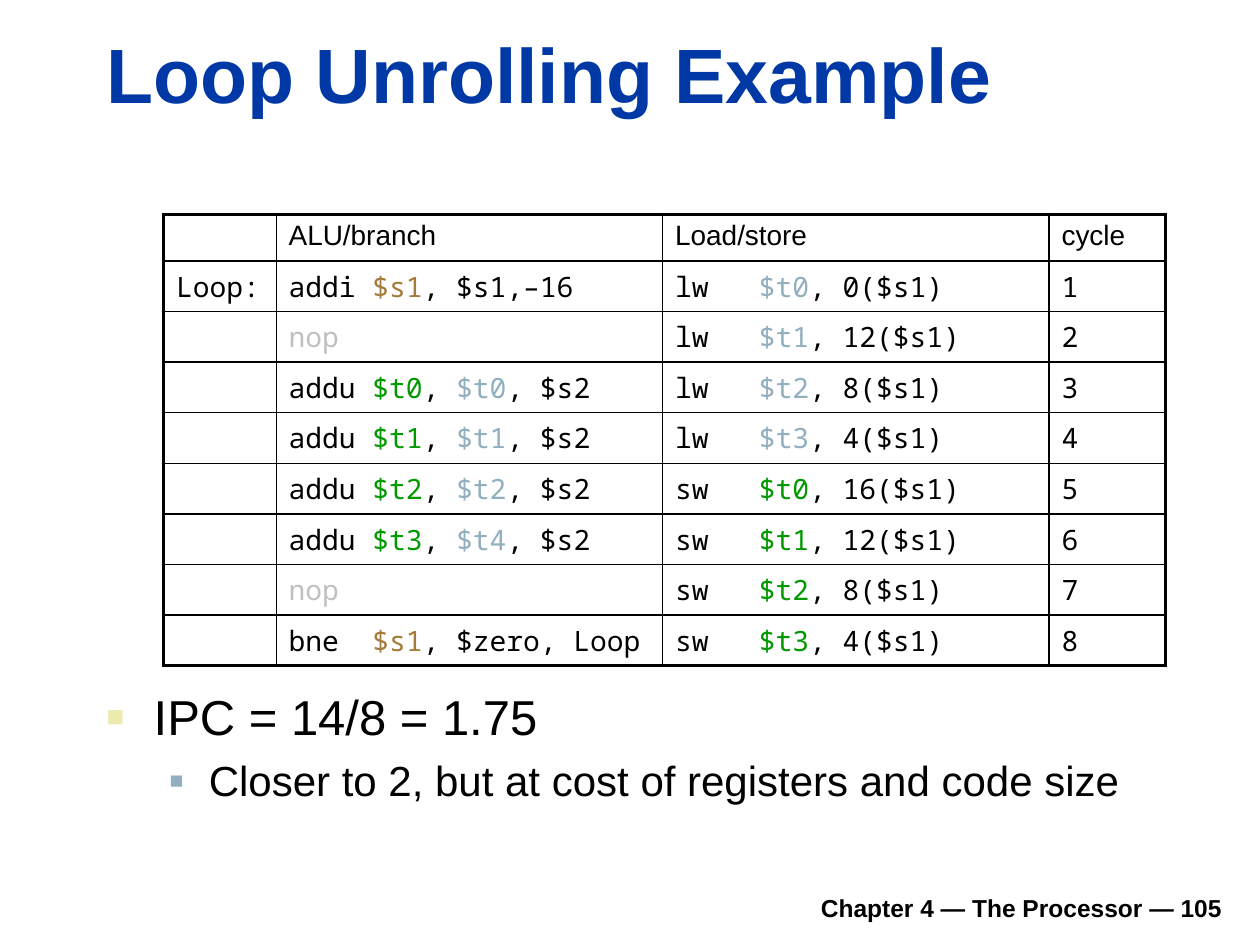
from lxml.etree import SubElement
from pptx import Presentation
from pptx.dml.color import RGBColor
from pptx.enum.text import MSO_ANCHOR, PP_ALIGN
from pptx.oxml import parse_xml
from pptx.oxml.ns import nsdecls, qn
from pptx.util import Cm, Pt

COLORS = {
    "title": "0039A6",
    "text": "000000",
    "pointer": "A47B38",
    "loaded": "91AFBF",
    "result": "009900",
    "idle": "C0C0C0",
    "bullet": "ECEAAC",
    "sub_bullet": "91AFBF",
}
SANS, MONO = "Arial", "Noto Sans Mono"


class SlideBuilder:
    def __init__(self, page):
        self.page = page

    def style(self, paragraph, size, color="text", bold=False, name=SANS):
        font = paragraph.font
        font.name, font.size, font.bold = name, Pt(size), bold
        font.color.rgb = RGBColor.from_string(COLORS[color])

    def text_box(self, left, top, width, height, anchor=MSO_ANCHOR.TOP):
        box = self.page.shapes.add_textbox(Cm(left), Cm(top), Cm(width), Cm(height))
        frame = box.text_frame
        frame.word_wrap = True
        frame.vertical_anchor = anchor
        return frame

    def line(self, place, text, size, color="text", align=PP_ALIGN.LEFT):
        """Put one bold line at the bottom of the box given by place."""
        paragraph = self.text_box(*place, anchor=MSO_ANCHOR.BOTTOM).paragraphs[0]
        paragraph.text = text
        paragraph.alignment = align
        self.style(paragraph, size, color, bold=True)

    def bullet(self, paragraph, text, size, color, percent, left, hanging):
        paragraph.text = text
        properties = paragraph._p.get_or_add_pPr()
        properties.set("marL", str(Cm(left)))
        properties.set("indent", str(-Cm(hanging)))
        tint = SubElement(properties, qn("a:buClr"))
        SubElement(tint, qn("a:srgbClr"), val=COLORS[color])
        SubElement(properties, qn("a:buSzPct"), val=str(percent * 1000))
        SubElement(properties, qn("a:buFont"), typeface=SANS)
        SubElement(properties, qn("a:buChar"), char="■")
        self.style(paragraph, size)

    def borders(self, cell, widths):
        """Draw the left, right, top and bottom borders, widths in points."""
        properties = cell._tc.get_or_add_tcPr()
        for index, (side, width) in enumerate(zip("LRTB", widths)):
            properties.insert(index, parse_xml(
                f'<a:ln{side} {nsdecls("a")} w="{Pt(width)}"><a:solidFill>'
                f'<a:srgbClr val="{COLORS["text"]}"/></a:solidFill></a:ln{side}>'))

    def cell(self, cell, spans, name):
        """Fill a cell with spans, each a (text, colour name) pair."""
        cell.fill.background()
        cell.margin_left = cell.margin_right = Cm(0.25)
        cell.margin_top = Cm(0.13)
        cell.margin_bottom = Cm(0.13 if spans else 0)
        paragraph = cell.text_frame.paragraphs[0]
        self.style(paragraph, 16, name=name)
        for text, color in spans:
            span = paragraph.add_run()
            span.text = text
            if color != "text":
                span.font.color.rgb = RGBColor.from_string(COLORS[color])

    def table(self, left, top, widths, heights, rows):
        shape = self.page.shapes.add_table(
            len(rows), len(widths), Cm(left), Cm(top), Cm(sum(widths)), Cm(sum(heights)))
        table = shape.table
        table.first_row = table.horz_banding = False
        for column, width in zip(table.columns, widths):
            column.width = Cm(width)
        for row, height in zip(table.rows, heights):
            row.height = Cm(height)
        last_row, last_column = len(rows) - 1, len(widths) - 1
        outer, header, inner = 2.25, 1.5, 1
        for r, row in enumerate(rows):
            for c, spans in enumerate(row):
                self.cell(table.cell(r, c), spans, MONO if r else SANS)
                self.borders(table.cell(r, c), (
                    outer if c == 0 else inner,
                    outer if c == last_column else inner,
                    {0: outer, 1: header}.get(r, inner),
                    {0: header, last_row: outer}.get(r, inner)))


def plain(text):
    return [(text, "text")] if text else []


def add(result, loaded):
    return [("addu ", "text"), (result, "result"), (", ", "text"),
            (loaded, "loaded"), (", $s2", "text")]


def memory(operation, register, offset):
    color = "loaded" if operation == "lw" else "result"
    return [(f"{operation}   ", "text"), (register, color), (f", {offset}($s1)", "text")]


def main():
    deck = Presentation()
    deck.slide_width, deck.slide_height = Cm(25.4), Cm(19.05)
    builder = SlideBuilder(deck.slides.add_slide(deck.slide_layouts[6]))

    builder.line((4.7, 17.73, 20.19, 0.99), "Chapter 4 — The Processor — 105", 14,
                 align=PP_ALIGN.RIGHT)
    builder.line((1.9, 0.4, 22.94, 2.12), "Loop Unrolling Example", 44, "title")

    body = builder.text_box(1.9, 13.59, 22.99, 3.73)
    body.margin_top = Cm(0.25)
    builder.bullet(body.paragraphs[0], "IPC = 14/8 = 1.75", 28, "bullet", 60, 0.95, 0.95)
    detail = body.add_paragraph()
    detail.level = 1
    detail.space_before = Pt(5.5)
    builder.bullet(detail, "Closer to 2, but at cost of registers and code size",
                   24, "sub_bullet", 55, 2.06, 0.79)

    nop = [("nop", "idle")]
    alu_slots = [
        [("addi ", "text"), ("$s1", "pointer"), (", $s1,–16", "text")],
        nop,
        add("$t0", "$t0"),
        add("$t1", "$t1"),
        add("$t2", "$t2"),
        add("$t3", "$t4"),
        nop,
        [("bne  ", "text"), ("$s1", "pointer"), (", $zero, Loop", "text")],
    ]
    memory_slots = [memory(operation, f"$t{number}", offset)
                    for operation, offsets in (("lw", (0, 12, 8, 4)), ("sw", (16, 12, 8, 4)))
                    for number, offset in enumerate(offsets)]
    rows = [[plain(text) for text in ("", "ALU/branch", "Load/store", "cycle")]]
    for cycle, (alu, access) in enumerate(zip(alu_slots, memory_slots), start=1):
        label = "Loop:" if cycle == 1 else ""
        rows.append([plain(label), alu, access, plain(str(cycle))])
    builder.table(3.3, 4.32, (2.27, 7.79, 7.79, 2.35), [0.94] + [1.02] * 8, rows)

    deck.save("out.pptx")


if __name__ == "__main__":
    main()
